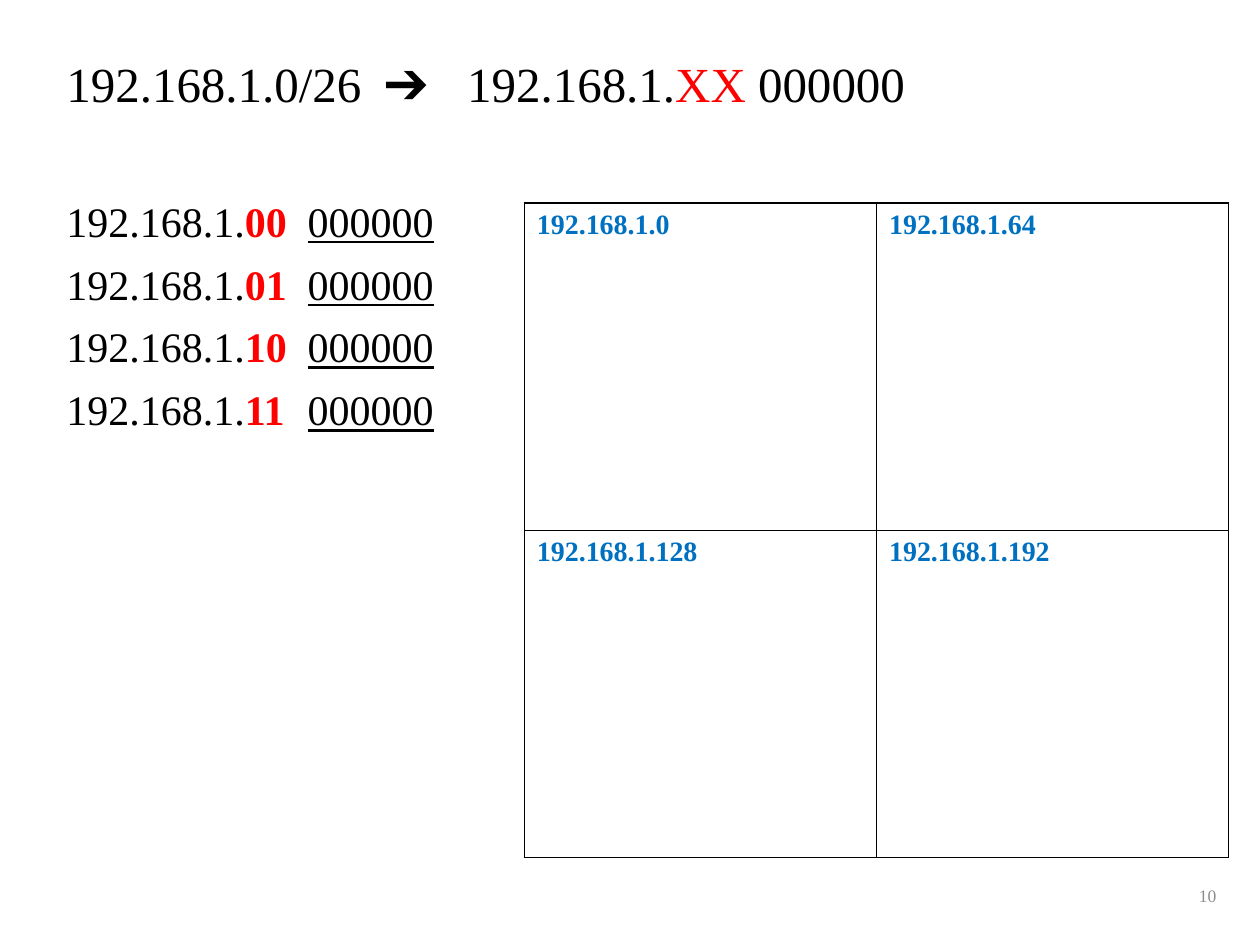
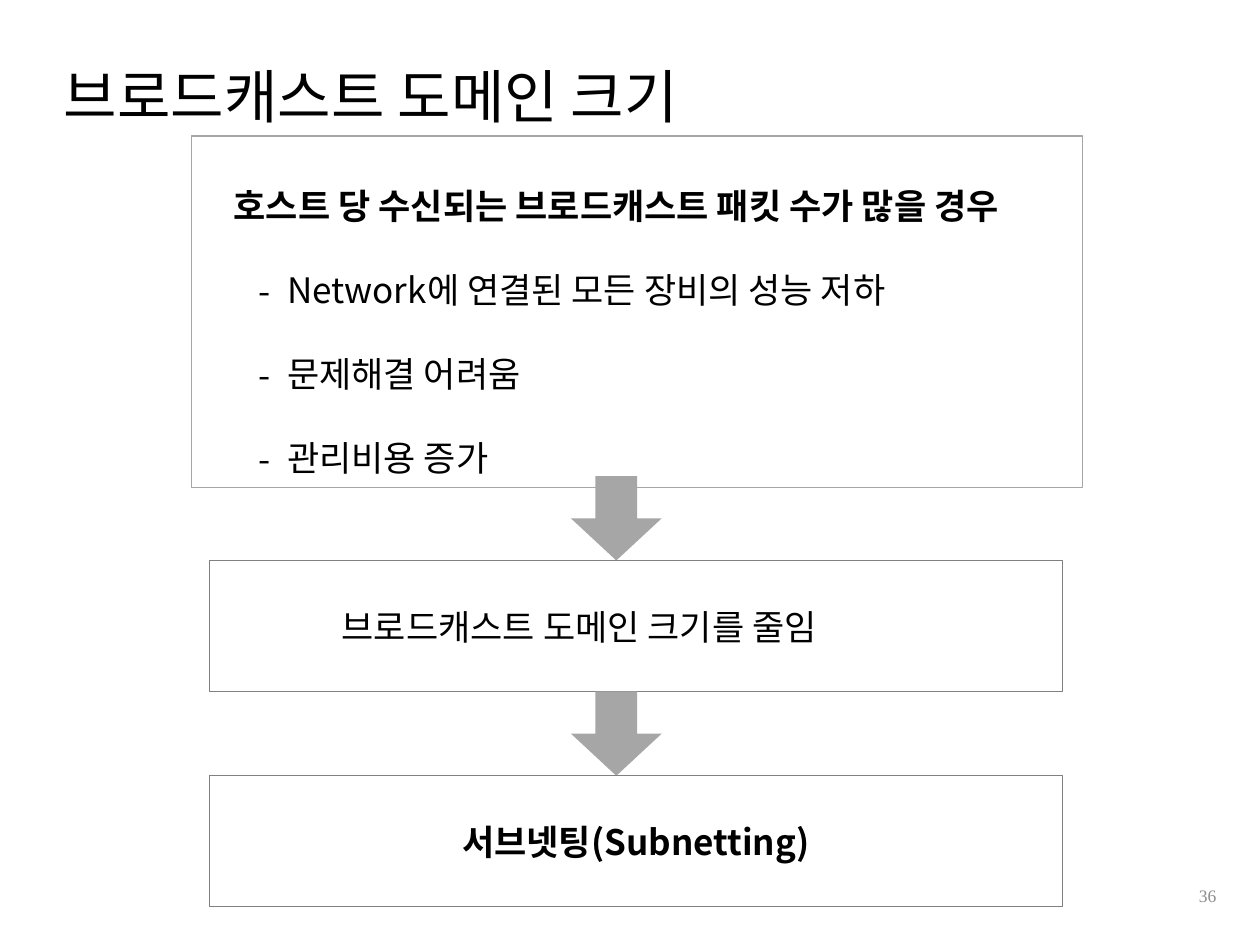
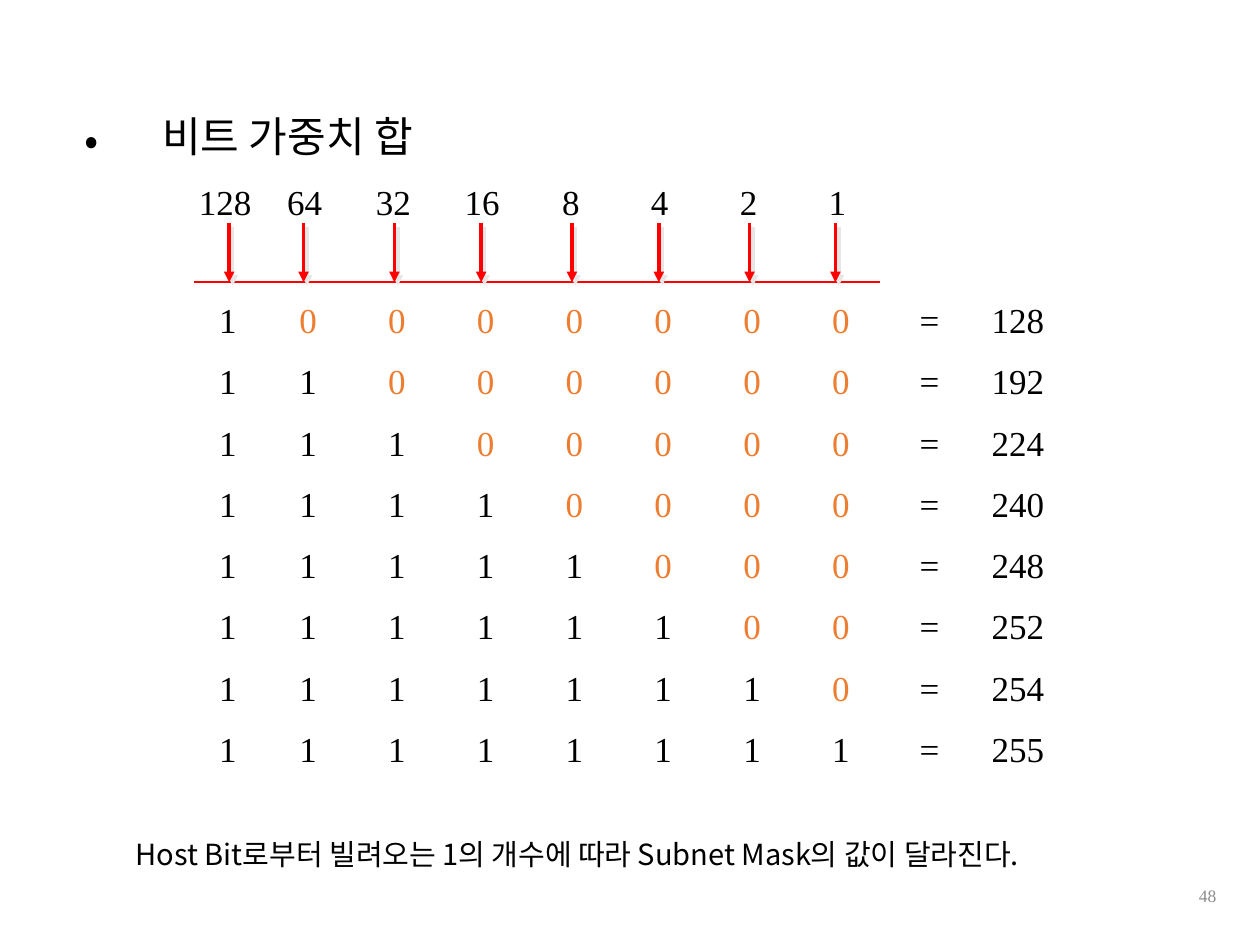
from lxml.etree import SubElement
from pptx import Presentation
from pptx.dml.color import RGBColor
from pptx.enum.shapes import MSO_CONNECTOR as CONN, MSO_SHAPE as SHAPE
from pptx.enum.text import MSO_ANCHOR as ANCHOR, PP_ALIGN as ALIGN
from pptx.oxml.ns import qn
from pptx.util import Cm, Pt

BLACK, RED, BLUE, ORANGE = "000000", "FF0000", "0070C0", "ED7D31"
GREY, MID_GREY, DARK_GREY, SHADOW = "A6A6A6", "8C8C8C", "808080", "E7E6E6"
TIMES, NOTO = "Times New Roman", "Noto Sans CJK KR"
LINE = {"line_spacing": 0.9}


def rgb(value):
    return RGBColor.from_string(value)


def add_xml(parent, tag, **attrs):
    return SubElement(parent, qn(f"a:{tag}"), {k: str(v) for k, v in attrs.items()})


class Deck:
    def __init__(self):
        self.prs = Presentation()
        self.prs.slide_width, self.prs.slide_height = Cm(25.4), Cm(19.05)

    def slide(self):
        self.s = self.prs.slides.add_slide(self.prs.slide_layouts[6])

    def save(self):
        self.prs.save("out.pptx")

    def run(self, p, text, color=BLACK, **fmt):
        r = p.add_run()
        r.text = text
        for key, value in fmt.items():
            setattr(r.font, key, value)
        r.font.color.rgb = rgb(color)
        add_xml(r._r.get_or_add_rPr(), "ea", typeface=fmt["name"])

    def para(self, p, runs, style, left=0, hang=0, bullet=None, tabs=(), **fmt):
        pPr = p._p.get_or_add_pPr()
        if left:
            pPr.set("marL", str(Cm(left)))
            pPr.set("indent", str(-Cm(hang)))
        if bullet:
            add_xml(pPr, "buFont", typeface=style["name"])
            add_xml(pPr, "buChar", char=bullet)
        if tabs:
            tab_list = add_xml(pPr, "tabLst")
            for pos, align in tabs:
                add_xml(tab_list, "tab", pos=Cm(pos), algn=align)
        for key, value in fmt.items():
            setattr(p, key, value)
        for text, extra in runs:
            self.run(p, text, **{**style, **extra})

    def fill_text(self, tf, paras, font, size, anchor=ANCHOR.TOP, inset=(0.25, 0.13)):
        x, y = map(Cm, inset)
        frame = {"word_wrap": True, "vertical_anchor": anchor, "margin_left": x,
                 "margin_right": x, "margin_top": y, "margin_bottom": y}
        for key, value in frame.items():
            setattr(tf, key, value)
        for i, (runs, fmt) in enumerate(paras):
            p = tf.paragraphs[0] if i == 0 else tf.add_paragraph()
            self.para(p, runs, {"name": font, "size": Pt(size)}, **fmt)

    def text(self, box, paras, font, size, **frame):
        sp = self.s.shapes.add_textbox(*map(Cm, box))
        self.fill_text(sp.text_frame, paras, font, size, **frame)

    def title(self, box, text, size, **fmt):
        self.text(box, [([(text, {})], {**LINE, **fmt})], NOTO, size, anchor=ANCHOR.MIDDLE)

    def number(self, value):
        runs = [(str(value), {"color": MID_GREY})]
        self.text((19.05, 17.55, 5.72, 1.02), [(runs, {"alignment": ALIGN.RIGHT})],
                  TIMES, 10, anchor=ANCHOR.MIDDLE)

    def shape(self, kind, box, fill=None, line=None):
        sp = self.s.shapes.add_shape(kind, *map(Cm, box))
        sp.shadow.inherit = False
        for part, color in ((sp.fill, fill), (sp.line.fill, line)):
            if color:
                part.solid()
                part.fore_color.rgb = rgb(color)
            else:
                part.background()
        if line:
            sp.line.width = Pt(0.75)
        return sp

    def frame(self, box, paras, line=DARK_GREY, anchor=ANCHOR.MIDDLE):
        sp = self.shape(SHAPE.RECTANGLE, box, line=line)
        paras = [(runs, {"alignment": ALIGN.LEFT, **fmt}) for runs, fmt in paras]
        self.fill_text(sp.text_frame, paras, NOTO, 20, anchor=anchor)

    def down_arrow(self, top):
        sp = self.shape(SHAPE.DOWN_ARROW, (11.51, top, 1.83, 1.7), fill=GREY)
        sp.adjustments[0], sp.adjustments[1] = 0.46, 0.5

    def line(self, x1, y1, x2, y2, width, arrow=False):
        c = self.s.shapes.add_connector(CONN.STRAIGHT, *map(Cm, (x1, y1, x2, y2)))
        c.line.color.rgb = rgb(RED)
        c.line.width = Pt(width)
        spPr = c._element.spPr
        if arrow:
            add_xml(c.line._get_or_add_ln(), "tailEnd", type="triangle")
        effects = add_xml(spPr, "effectLst")
        if arrow:
            shadow = add_xml(effects, "outerShdw", dist=Pt(2.8), dir=45 * 60000,
                             algn="ctr", rotWithShape=0)
            add_xml(shadow, "srgbClr", val=SHADOW)

    def table(self, box, rows):
        t = self.s.shapes.add_table(len(rows), len(rows[0]), *map(Cm, box)).table
        t.first_row = t.horz_banding = False
        for i, row in enumerate(rows):
            for j, text in enumerate(row):
                cell = t.cell(i, j)
                runs = [(text, {"color": BLUE, "bold": True})]
                self.para(cell.text_frame.paragraphs[0], runs,
                          {"name": TIMES, "size": Pt(16)})
                tcPr = cell._tc.get_or_add_tcPr()
                for side in ("lnL", "lnR", "lnT", "lnB"):
                    ln = add_xml(tcPr, side, w=Pt(1))
                    add_xml(add_xml(ln, "solidFill"), "srgbClr", val=BLACK)
                cell.fill.background()


def subnet_slide(d):
    d.slide()
    paras = [([("192.168.1.0/26\t➔\t192.168.1.", {"size": Pt(28)}),
               ("XX", {"size": Pt(28), "color": RED}),
               (" 000000", {"size": Pt(28)})],
              {**LINE, "tabs": [(6.41, "l"), (8.08, "l")]})]
    for i in range(4):
        runs = [("192.168.1.", {}), (f"{i:02b}", {"color": RED, "bold": True}),
                ("\t", {}), ("000000", {"underline": True})]
        paras.append((runs, {**LINE, "space_before": Pt(10 if i else 50),
                             "tabs": [(4.86, "l")]}))
    d.text((1.09, 1.09, 21.89, 12.09), paras, TIMES, 24)
    d.number(10)
    d.table((10.57, 4.09, 14.2, 13.2),
            [[f"192.168.1.{64 * (2 * i + j)}" for j in range(2)] for i in range(2)])


def broadcast_slide(d):
    d.slide()
    d.title((1.04, 0.91, 21.89, 2.21), "브로드캐스트 도메인 크기", 33.2)
    bold, spacing = {"bold": True}, {"line_spacing": Pt(48)}
    paras = [([("호스트 당 수신되는 브로드캐스트 패킷 수가 많을 경우", bold)],
              {"left": 0.6, **spacing})]
    effects = ("Network에 연결된 모든 장비의 성능 저하", "문제해결 어려움", "관리비용 증가")
    paras += [([(effect, {})], {"left": 1.68, "hang": 0.57, "bullet": "-", **spacing})
              for effect in effects]
    d.frame((3.86, 2.74, 17.96, 7.09), paras, line=GREY, anchor=ANCHOR.TOP)
    steps = [([("브로드캐스트 도메인 크기를 줄임", {})], {"left": 2.42}),
             ([("서브넷팅(Subnetting)", bold)], {"alignment": ALIGN.CENTER})]
    for i, step in enumerate(steps):
        top = 11.3 + 4.34 * i
        d.down_arrow(top - 1.7)
        d.frame((4.22, top, 17.2, 2.64), [step])
    d.number(36)


def bit_weight_slide(d):
    d.slide()
    step, inset = 1.79, (0.33, 0.15)
    row_tabs = [(step * n, "ctr") for n in range(1, 9)] + [(15.57, "l")]
    rows = []
    for n in range(1, 9):
        runs = [("1\t" * n, {}), ("0\t" * (8 - n), {"color": ORANGE}),
                (f"=\t{256 - 2 ** (8 - n)}", {})]
        rows.append(([run for run in runs if run[0]],
                     {"tabs": row_tabs, "space_before": Pt(11 if n > 1 else 0)}))
    d.text((4.09, 5.87, 17.42, 10.16), rows, TIMES, 20, inset=inset)
    weights = "\t".join(str(2 ** n) for n in reversed(range(8)))
    weight_tabs = [(2.13 + step * n, "ctr") for n in range(7)]
    d.text((3.68, 3.48, 13.82, 1.19), [([(weights, {})], {"tabs": weight_tabs})],
           TIMES, 20, inset=inset)
    d.line(3.91, 5.69, 17.73, 5.69, 1)
    for x in (4.62, 6.12, 7.95, 9.7, 11.53, 13.28, 15.11, 16.84):
        d.line(x, 4.5, x, 5.69, 2, arrow=True)
    note = "Host Bit로부터 빌려오는 1의 개수에 따라 Subnet Mask의 값이 달라진다."
    d.text((2.59, 16.74, 19.6, 0.97), [([(note, {})], {})], NOTO, 16.6,
           inset=(0.15, 0.13))
    d.title((1.45, 0.97, 21.89, 3.68), "비트 가중치 합", 24,
            left=1.57, hang=1.57, bullet="•")
    d.number(48)


def main():
    d = Deck()
    subnet_slide(d)
    broadcast_slide(d)
    bit_weight_slide(d)
    d.save()


if __name__ == "__main__":
    main()
